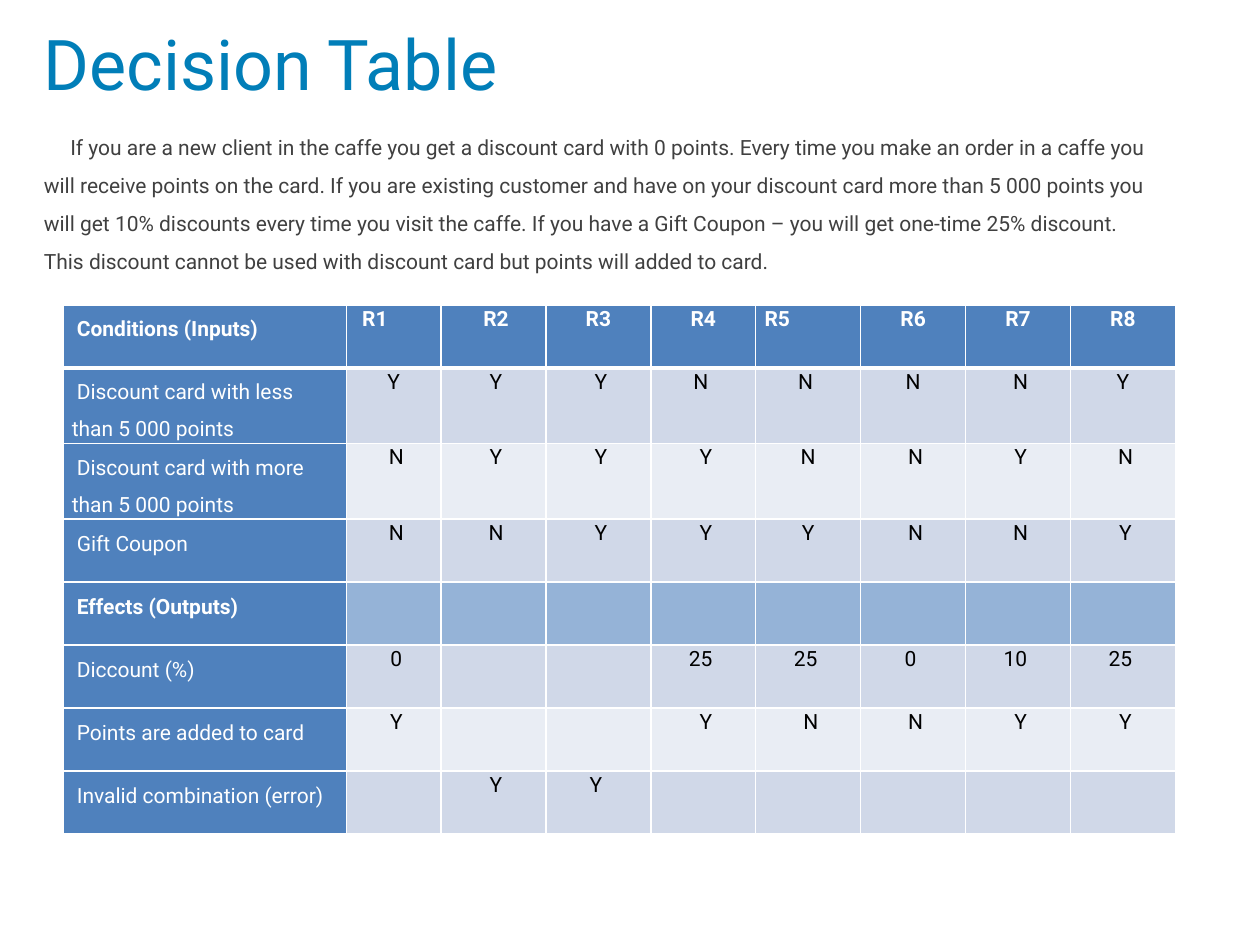
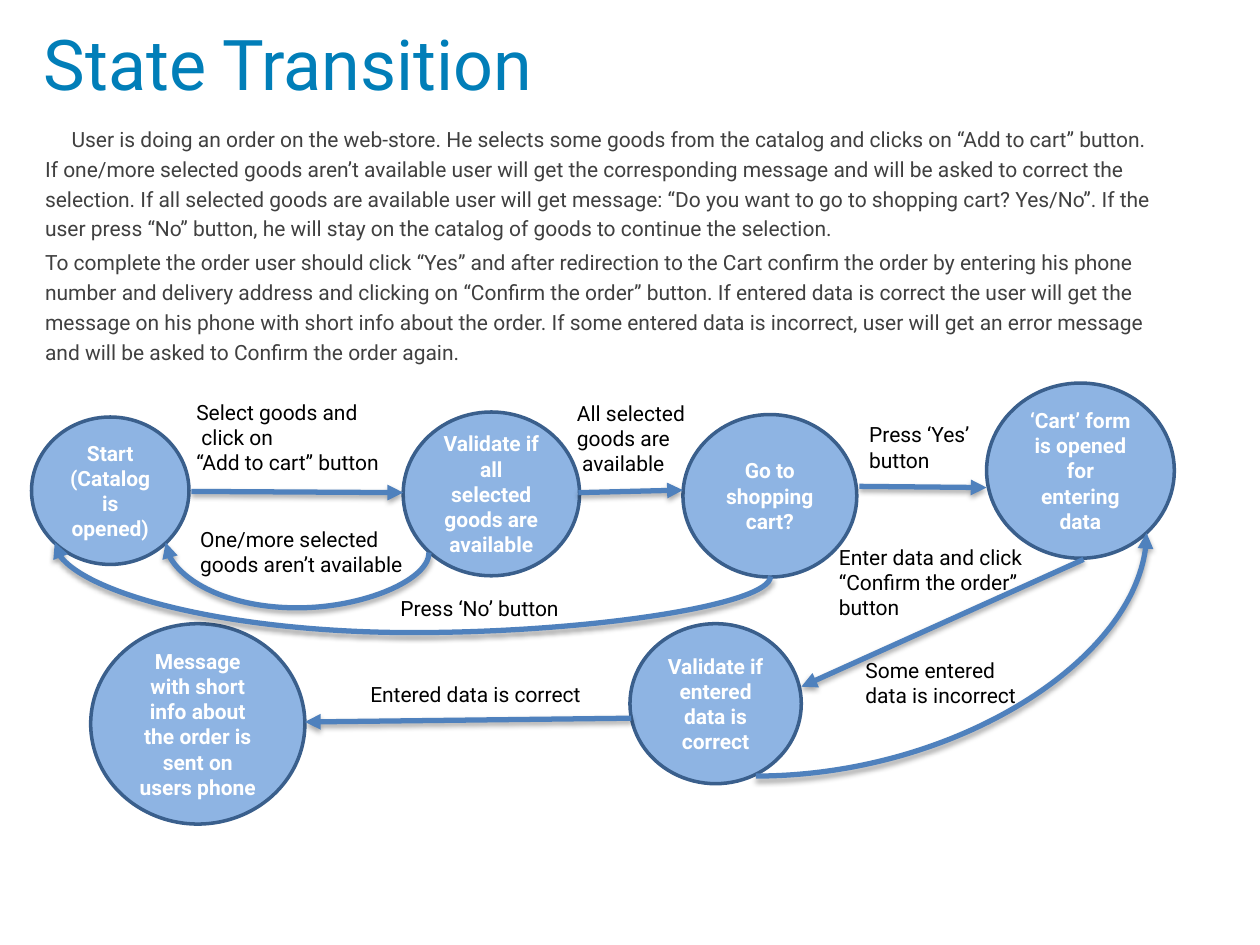
from dataclasses import dataclass
from typing import NamedTuple

from lxml.etree import SubElement
from pptx import Presentation
from pptx.dml.color import RGBColor
from pptx.enum.shapes import MSO_CONNECTOR as Link, MSO_SHAPE as Preset
from pptx.enum.text import MSO_ANCHOR as Anchor, PP_ALIGN as Align
from pptx.oxml import parse_xml
from pptx.oxml.ns import nsdecls, qn
from pptx.util import Inches, Pt

# Shared look
FONT = "Roboto"
TITLE_BLUE = RGBColor(0x01, 0x7E, 0xB8)
BODY_GRAY = RGBColor(0x40, 0x40, 0x40)
WHITE = RGBColor(0xFF, 0xFF, 0xFF)
BLACK = RGBColor(0x00, 0x00, 0x00)
ACCENT = RGBColor(0x4F, 0x81, 0xBD)
STATE_FILL = RGBColor(0x8E, 0xB4, 0xE3)
STATE_LINE = RGBColor(0x3A, 0x5F, 0x8C)
EFFECT_BAND = RGBColor(0x95, 0xB3, 0xD7)
DARK_BAND = RGBColor(0xD0, 0xD8, 0xE8)
LIGHT_BAND = RGBColor(0xE9, 0xED, 0xF4)

TITLE = {"size": Pt(40), "name": FONT}
PLAIN = {"size": Pt(12), "name": FONT, "bold": False}
BOLD = {**PLAIN, "bold": True}


class Area(NamedTuple):
    left: float
    top: float
    width: float
    height: float

    def lengths(self):
        return [Inches(value) for value in self]


@dataclass
class State:
    area: Area
    lines: list[str]


@dataclass
class Label:
    area: Area
    lines: list[str]


@dataclass
class Arrow:
    start: tuple[float, float]
    end: tuple[float, float]
    preset: str = ""
    rotation: int = 0
    bend: int | None = None


@dataclass
class TableRow:
    heading: str
    values: list[str]
    fill: RGBColor
    bold: bool = False
    color: RGBColor = BLACK


# Content of the decision table; ">" and "<" nudge a value right or left
BLANK_ROW = [""] * 8
TABLE_ROWS = [
    TableRow("Conditions (Inputs)", ["R1", ">R2", "R3", "R4", "R5", "R6", "R7", "R8"],
             ACCENT, True, WHITE),
    TableRow("Discount card with less than 5 000 points",
             ["Y", ">Y", ">Y", "N<", "N<", "N", ">N", "Y"], DARK_BAND),
    TableRow("Discount card with more than 5 000 points",
             [">N", ">Y", ">Y", ">Y", "N", ">N", ">Y", ">N"], LIGHT_BAND),
    TableRow("Gift Coupon", [">N", ">N", ">Y", ">Y", "Y", ">N", ">N", ">Y"], DARK_BAND),
    TableRow("Effects (Outputs)", BLANK_ROW, EFFECT_BAND, True),
    TableRow("Diccount (%)", [">0", "", "", "25<", "25<", "0<", "10<", "25<"], DARK_BAND),
    TableRow("Points are added to card",
             [">Y", "", "", ">Y", ">N", ">N", ">Y", ">Y"], LIGHT_BAND),
    TableRow("Invalid combination (error)", ["", ">Y", "Y<", "", "", "", "", ""], DARK_BAND),
]
TABLE_WIDTH = 8.83
COLUMN_WIDTHS = [2.25, 0.75] + [(TABLE_WIDTH - 3) / 7] * 7
ROW_HEIGHT = 0.5
CELL_MARGIN = 0.07
NUDGE = 0.04
DISCOUNT_RULES = (
    "If you are a new client in the caffe you get a discount card with 0 points. "
    "Every time you make an order in a caffe you will receive points on the card. "
    "If you are existing customer and have on your discount card more than 5 000 points "
    "you will get 10% discounts every time you visit the caffe. If you have a Gift Coupon – "
    "you will get one-time 25% discount. This discount cannot be used with discount card "
    "but points will added to card."
)

# Content of the state diagram
ORDER_STORY = [
    "User is doing an order on the web-store. He selects some goods from the catalog and "
    "clicks on “Add to cart” button. If one/more selected goods aren’t available user will "
    "get the corresponding message and will be asked to correct the selection. If all "
    "selected goods are available user will get message: “Do you want to go to shopping "
    "cart? Yes/No”. If the user press “No” button, he will stay on the catalog of goods to "
    "continue the selection.",
    "To complete the order user should click “Yes” and after redirection to the Cart confirm "
    "the order by entering his phone number and delivery address and clicking on “Confirm "
    "the order” button. If entered data is correct the user will get the message on his "
    "phone with short info about the order. If some entered data is incorrect, user will "
    "get an error message and will be asked to Confirm the order again.",
]
STATES = [
    State(Area(7.83, 3.04, 1.49, 1.39), ["‘Cart’ form is opened for entering data"]),
    State(Area(5, 4.95, 1.36, 1.27), ["Validate if entered data is correct"]),
    State(Area(0.72, 4.95, 1.7, 1.59),
          ["Message with short info about the order is sent on users phone"]),
    State(Area(5.42, 3.29, 1.38, 1.29), ["Go to shopping cart?"]),
    State(Area(3.2, 3.27, 1.4, 1.3), ["Validate if all selected goods are available"]),
    State(Area(0.25, 3.31, 1.25, 1.17), ["Start", "(Catalog is opened)"]),
]
# Curves with a rotation give their ends as they lie before turning
ARROWS = [
    Arrow((1.52, 3.9), (3.2, 3.91)),
    Arrow((4.59, 3.91), (5.42, 3.89)),
    Arrow((8.6, 4.44), (6.36, 5.45)),
    Arrow((2.4, 3.3), (2.32, 5.39), "curvedConnector3", 90, -549700),
    Arrow((6.82, 3.86), (7.83, 3.87)),
    Arrow((3.41, 1.6), (3.14, 7.28), "curvedConnector3", 90, -165000),
    Arrow((5.01, 5.7), (2.42, 5.73)),
    Arrow((6, 6.16), (9.1, 4.23), "curvedConnector2"),
]
# Room to the right that keeps each label line whole
LABEL_SLACK = 0.08
LABELS = [
    Label(Area(1.46, 3.12, 1.65, 0.82),
          ["Select goods and", " click on", "“Add to cart” button"]),
    Label(Area(6.77, 5.17, 1.33, 0.54), ["Some entered", "data is incorrect"]),
    Label(Area(1.49, 4.13, 1.75, 0.54), ["One/more selected", "goods aren’t available"]),
    Label(Area(4.48, 3.13, 0.94, 0.74), ["All selected", "goods are", " available"]),
    Label(Area(6.8, 3.3, 0.89, 0.46), ["Press ‘Yes’", "button"]),
    Label(Area(3.08, 4.68, 1.43, 0.42), ["Press ‘No’ button"]),
    Label(Area(6.56, 4.27, 1.55, 0.71),
          ["Enter data and click", "“Confirm the order”", "button"]),
    Label(Area(2.84, 5.36, 1.91, 0.44), ["Entered data is correct"]),
]


def set_values(target, values: dict) -> None:
    for name, value in values.items():
        setattr(target, name, value)


def write(frame, lines: list[str], font: dict, color: RGBColor, **layout) -> None:
    """Fill a text frame, one paragraph for each line."""
    for index, line in enumerate(lines):
        para = frame.paragraphs[0] if index == 0 else frame.add_paragraph()
        set_values(para, layout)
        span = para.add_run()
        span.text = line
        set_values(span.font, font)
        span.font.color.rgb = color


def indent_first_line(frame, inches: float) -> None:
    frame.paragraphs[0]._p.get_or_add_pPr().set("indent", str(Inches(inches)))


def add_text(page, area: Area, lines: list[str], font: dict, color: RGBColor,
             anchor=Anchor.TOP, **layout):
    frame = page.shapes.add_textbox(*area.lengths()).text_frame
    set_values(frame, {"word_wrap": True, "vertical_anchor": anchor})
    write(frame, lines, font, color, **layout)
    return frame


def add_page(deck, title: str, body_area: Area, body: list[str], spacing):
    """Start a page with the shared title and body text."""
    page = deck.slides.add_slide(deck.slide_layouts[6])
    add_text(page, Area(0.25, 0, 9, 1), [title], TITLE, TITLE_BLUE, Anchor.MIDDLE)
    frame = add_text(page, body_area, body, PLAIN, BODY_GRAY,
                     line_spacing=spacing, space_before=Pt(2.4))
    indent_first_line(frame, 0.21)
    return page


def add_borders(cell, bottom: float) -> None:
    properties = cell._tc.get_or_add_tcPr()
    for index, (side, width) in enumerate({"L": 1, "R": 1, "T": 1, "B": bottom}.items()):
        properties.insert(index, parse_xml(
            f'<a:ln{side} {nsdecls("a")} w="{Pt(width)}"><a:solidFill>'
            f'<a:srgbClr val="{WHITE}"/></a:solidFill></a:ln{side}>'))


def fill_cell(cell, row: TableRow, column: int) -> None:
    text = row.values[column - 1] if column else row.heading
    cell.fill.solid()
    cell.fill.fore_color.rgb = row.fill if column else ACCENT
    add_borders(cell, 3 if row is TABLE_ROWS[0] else 1)
    if not text:
        return
    left = CELL_MARGIN + NUDGE * text.startswith(">")
    right = 0.37 if text == "R1" else CELL_MARGIN + NUDGE * text.endswith("<")
    set_values(cell, {"margin_left": Inches(left), "margin_right": Inches(right),
                      "margin_top": 0, "margin_bottom": 0})
    frame, font = cell.text_frame, BOLD if row.bold else PLAIN
    if column:
        align = Align.LEFT if text == "R5" else Align.CENTER
        write(frame, [text.strip("<>")], font, row.color, alignment=align, line_spacing=1.07)
    else:
        write(frame, [text], font, WHITE, line_spacing=1.5)
        indent_first_line(frame, NUDGE)


def add_decision_table(page) -> None:
    area = Area(0.5, 2.42, TABLE_WIDTH, ROW_HEIGHT * len(TABLE_ROWS))
    table = page.shapes.add_table(
        len(TABLE_ROWS), len(COLUMN_WIDTHS), *area.lengths()).table
    set_values(table, {"first_row": False, "horz_banding": False})
    for column, width in zip(table.columns, COLUMN_WIDTHS):
        column.width = Inches(width)
    for row_index, row in enumerate(TABLE_ROWS):
        for column_index in range(len(COLUMN_WIDTHS)):
            fill_cell(table.cell(row_index, column_index), row, column_index)


def add_state(page, state: State) -> None:
    circle = page.shapes.add_shape(Preset.OVAL, *state.area.lengths())
    circle.shadow.inherit = False
    circle.fill.solid()
    circle.fill.fore_color.rgb = STATE_FILL
    circle.line.color.rgb = STATE_LINE
    circle.line.width = Pt(2)
    circle.text_frame.vertical_anchor = Anchor.MIDDLE
    write(circle.text_frame, state.lines, BOLD, WHITE, alignment=Align.CENTER)


def add_arrow(page, arrow: Arrow) -> None:
    kind = Link.CURVE if arrow.preset else Link.STRAIGHT
    ends = [Inches(value) for value in (*arrow.start, *arrow.end)]
    link = page.shapes.add_connector(kind, *ends)
    link.line.color.rgb = ACCENT
    link.line.width = Pt(3)
    properties = link.element.spPr
    SubElement(properties.find(qn("a:ln")), qn("a:tailEnd"), type="triangle")
    # Soft shadow straight below
    properties.append(parse_xml(
        f'<a:effectLst {nsdecls("a")}><a:outerShdw blurRad="{Pt(3.1)}" dist="{Pt(1.8)}" '
        f'dir="5400000" rotWithShape="0"><a:srgbClr val="{BLACK}"><a:alpha val="35000"/>'
        '</a:srgbClr></a:outerShdw></a:effectLst>'))
    if arrow.preset:
        geometry = properties.find(qn("a:prstGeom"))
        geometry.set("prst", arrow.preset)
        if arrow.rotation:
            properties.find(qn("a:xfrm")).set("rot", str(arrow.rotation * 60000))
        if arrow.bend is not None:
            SubElement(geometry.find(qn("a:avLst")), qn("a:gd"),
                       name="adj1", fmla=f"val {arrow.bend}")


def add_label(page, label: Label) -> None:
    area = label.area._replace(width=label.area.width + LABEL_SLACK)
    frame = add_text(page, area, label.lines, PLAIN, BLACK)
    frame.margin_right = 0


def main() -> None:
    deck = Presentation()
    deck.slide_width, deck.slide_height = Inches(10), Inches(7.5)

    # Decision table
    page = add_page(deck, "Decision Table", Area(0.25, 0.92, 9, 1.42), [DISCOUNT_RULES], 1.5)
    add_decision_table(page)

    # State diagram
    page = add_page(deck, "State Transition", Area(0.26, 0.92, 9, 5.9), ORDER_STORY, Pt(17))
    for state in STATES:
        add_state(page, state)
    for arrow in ARROWS:
        add_arrow(page, arrow)
    for label in LABELS:
        add_label(page, label)

    deck.save("out.pptx")


if __name__ == "__main__":
    main()
